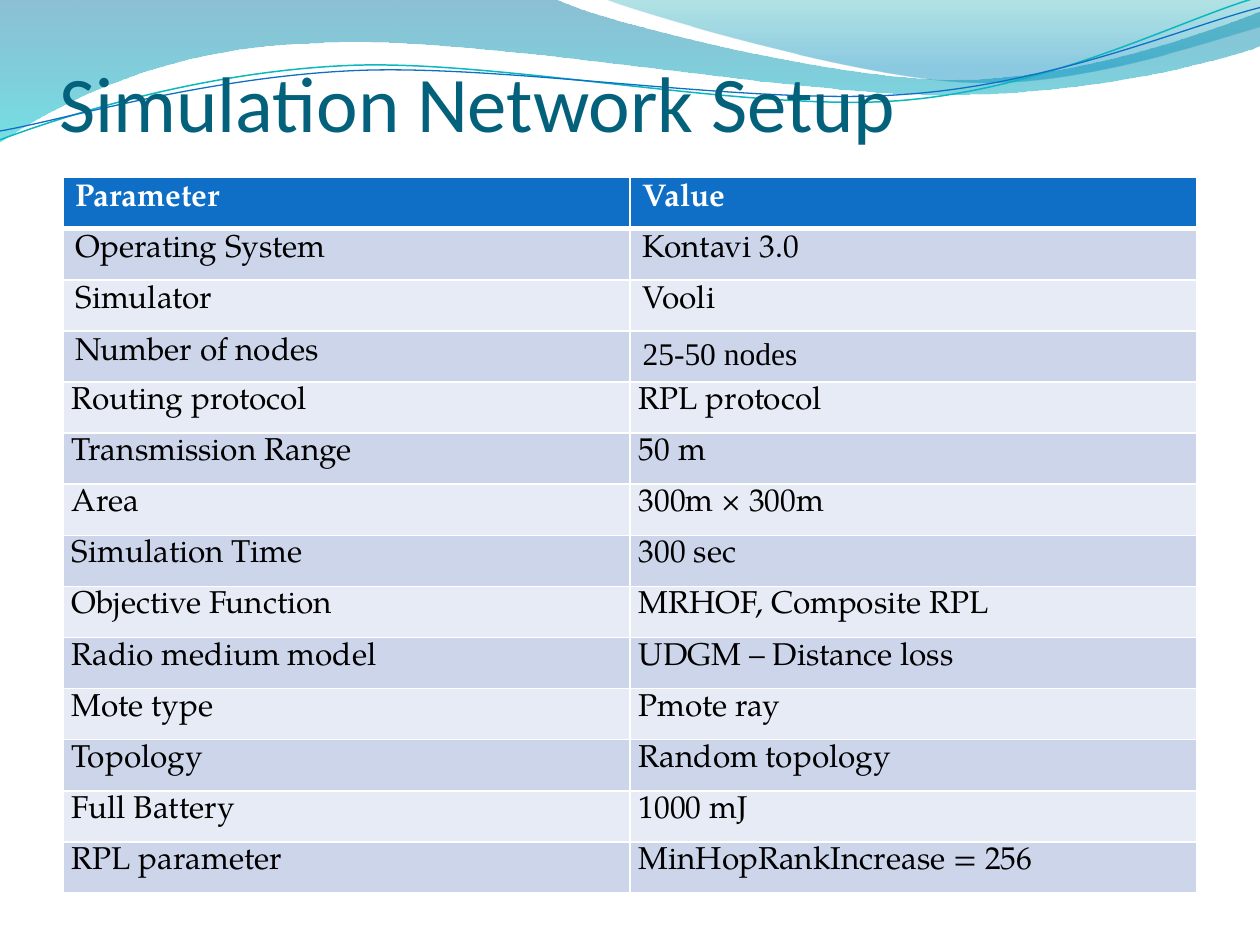
from dataclasses import dataclass

from lxml import etree
from pptx import Presentation
from pptx.dml.color import RGBColor
from pptx.enum.text import MSO_ANCHOR, PP_ALIGN
from pptx.oxml.ns import qn
from pptx.util import Inches, Pt

BOTTOM = MSO_ANCHOR.BOTTOM
JUSTIFY = PP_ALIGN.JUSTIFY


@dataclass(frozen=True)
class Theme:
    title: str = "04617B"
    head: str = "0F6FC6"
    white: str = "FFFFFF"
    ink: str = "000000"
    bands: tuple = ("CCD5EA", "E7EBF5")
    teal: str = "0AB8BF"
    face: str = "Calibri"
    body: str = "TeX Gyre Pagella"
    serif: str = "Times New Roman"
    big: int = 45
    small: int = 18


THEME = Theme()

BANDS = [
    ([(0, 0), (4.4, -0.01), (4.76, 0.17, 6.64, 0.63, 7.58, 0.63),
      (8.53, 0.63, 9.58, 0.26, 10, 0.09), (10.01, 0.36),
      (9.83, 0.44, 8.7, 0.76, 7.46, 0.75),
      (6.22, 0.75, 3.82, 0.28, 2.57, 0.34),
      (1.29, 0.36, 0.46, 0.83, -0.01, 1.13), (0, 0)],
     [(0, "0074A1", 45), (1, "00C6CF", 55)]),
    ([(4.79, -0.01), (5.09, 0.11, 6.82, 0.62, 7.69, 0.65),
      (8.56, 0.69, 9.61, 0.32, 10, 0.21), (10, 0), (4.79, -0.01)],
     [(0, "00A1A9", 30), (0.8, "008BBF", 45)]),
]
LINES = [
    ([(0, 1.11), (0.48, 0.93, 1.58, 0.57, 2.77, 0.52),
      (3.95, 0.47, 5.93, 0.89, 7.13, 0.8),
      (8.33, 0.71, 9.38, 0.15, 9.98, -0.02)], THEME.teal, 0.85),
    ([(0, 1.04), (0.47, 0.96, 1.64, 0.61, 2.83, 0.56),
      (4.03, 0.51, 5.97, 0.84, 7.17, 0.75),
      (8.36, 0.67, 9.41, 0.21, 10, 0.06)], THEME.head, 0.75),
]
ROWS = [
    ("Parameter", "Value"),
    ("Operating System", "Kontavi 3.0"),
    ("Simulator", "Vooli"),
    ("Number of nodes", "25-50 nodes"),
    ("Routing protocol", "RPL protocol"),
    ("Transmission Range", "50 m"),
    ("Area", "300m × 300m"),
    ("Simulation Time", "300 sec"),
    ("Objective Function", "MRHOF, Composite RPL"),
    ("Radio medium model", "UDGM – Distance loss"),
    ("Mote type", "Pmote ray"),
    ("Topology", "Random topology"),
    ("Full Battery", "1000 mJ"),
    ("RPL parameter", "MinHopRankIncrease = 256"),
]
LOOSE = 4


def rgb(code):
    return RGBColor.from_string(code)


def set_font(font, name, size, color, bold=False):
    font.name, font.size, font.bold = name, Pt(size), bold
    font.color.rgb = rgb(color)


def bend(shape, box, path):
    left, top = box[0] - shape.left, box[1] - shape.top
    legs = list(shape.element.spPr.iter(qn("a:lnTo")))
    for leg, part in zip(legs, path[1:]):
        if len(part) == 2:
            continue
        curve = etree.Element(qn("a:cubicBezTo"))
        for x, y in zip(part[::2], part[1::2]):
            etree.SubElement(curve, qn("a:pt"), x=str(left + Inches(x)),
                             y=str(top + Inches(y)))
        leg.getparent().replace(leg, curve)


def draw_path(slide, box, path, close):
    left, top = box[:2]
    points = [(left + Inches(part[-2]), top + Inches(part[-1])) for part in path]
    pen = slide.shapes.build_freeform(*points[0], scale=1.0)
    pen.add_line_segments(points[1:], close=close)
    shape = pen.convert_to_shape()
    bend(shape, box, path)
    shape.shadow.inherit = False
    return shape


def add_waves(slide, box):
    for path, stops in BANDS:
        shape = draw_path(slide, box, path, True)
        shape.line.fill.background()
        shape.fill.gradient()
        shape.fill.gradient_angle = 270
        for stop, (place, color, _) in zip(shape.fill.gradient_stops, stops):
            stop.position = place
            stop.color.rgb = rgb(color)
        tints = shape.element.spPr.iter(qn("a:srgbClr"))
        for tint, (_, _, alpha) in zip(tints, stops):
            etree.SubElement(tint, qn("a:alpha"), val=str(alpha * 1000))
    for path, color, width in LINES:
        shape = draw_path(slide, box, path, False)
        shape.fill.background()
        shape.line.color.rgb = rgb(color)
        shape.line.width = Pt(width)


def add_title(slide, box, text):
    frame = slide.shapes.add_textbox(*box).text_frame
    frame.word_wrap = True
    frame.vertical_anchor = BOTTOM
    frame.margin_left = frame.margin_right = frame.margin_bottom = 0
    para = frame.paragraphs[0]
    para.text = text
    set_font(para.font, THEME.face, THEME.big, THEME.title)


def set_edges(cell, widths):
    props = cell._tc.get_or_add_tcPr()
    for spot, (side, width) in enumerate(zip("LRTB", widths)):
        edge = etree.Element(qn(f"a:ln{side}"), w=str(Pt(width)))
        fill = etree.SubElement(edge, qn("a:solidFill"))
        etree.SubElement(fill, qn("a:srgbClr"), val=THEME.white)
        props.insert(spot, edge)


def fill_cell(cell, text, row):
    head = row == 0
    cell.text = text
    para = cell.text_frame.paragraphs[0]
    name = THEME.serif if text == "25-50 nodes" else THEME.body
    set_font(para.font, name, THEME.small, THEME.white if head else THEME.ink, head)
    if row >= LOOSE:
        cell.margin_left = cell.margin_right = Inches(0.07)
        cell.margin_top = cell.margin_bottom = 0
        para.alignment = JUSTIFY
        para.line_spacing = 1.15
    cell.fill.solid()
    cell.fill.fore_color.rgb = rgb(THEME.head if head else THEME.bands[(row - 1) % 2])
    set_edges(cell, (1, 1, 3 if row == 1 else 1, 3 if head else 1))


def add_grid(slide, box, rows):
    table = slide.shapes.add_table(len(rows), len(rows[0]), *box).table
    for row, texts in enumerate(rows):
        for col, text in enumerate(texts):
            fill_cell(table.cell(row, col), text, row)


def main():
    deck = Presentation()
    deck.slide_width, deck.slide_height = Inches(10), Inches(7.5)
    slide = deck.slides.add_slide(deck.slide_layouts[6])
    add_waves(slide, (0, 0, Inches(10), Inches(1.13)))
    add_title(slide, (Inches(0.47), Inches(0.47), Inches(8.41), Inches(0.71)),
              "Simulation Network Setup")
    add_grid(slide, (Inches(0.5), Inches(1.41), Inches(9), Inches(5.68)), ROWS)
    deck.save("out.pptx")


if __name__ == "__main__":
    main()
